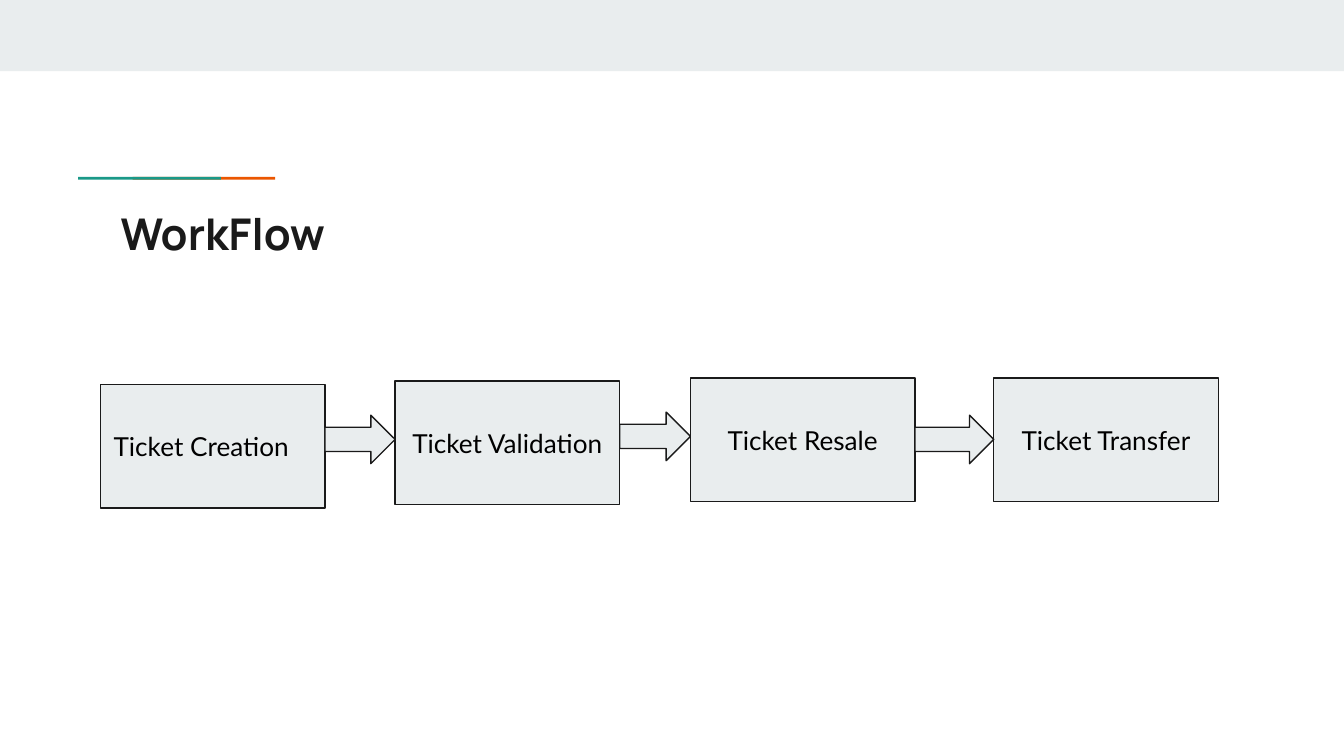
from pptx import Presentation
from pptx import util as u
from pptx.dml.color import RGBColor
from pptx.enum import shapes, text

PALE = RGBColor(0xE9, 0xED, 0xEE)
ORANGE = RGBColor(0xEB, 0x56, 0x00)
TEAL = RGBColor(0x1A, 0x99, 0x88)
INK = RGBColor(0x1A, 0x1A, 0x1A)
BLACK = RGBColor(0, 0, 0)

RECT = shapes.MSO_SHAPE.RECTANGLE
ARROW = shapes.MSO_SHAPE.RIGHT_ARROW
LEFT, CENTER = text.PP_ALIGN.LEFT, text.PP_ALIGN.CENTER
TOP, MIDDLE = text.MSO_ANCHOR.TOP, text.MSO_ANCHOR.MIDDLE

TITLE_FONT = {"name": "Manrope", "size": u.Pt(23.4), "bold": True}
STEP_FONT = {"name": "Lato", "size": u.Pt(14)}

STEP_W, STEP_H, ARROW_H = 120.3, 66.2, 26
STEPS = [
    ("Ticket Creation", 53.8, 205.9, LEFT),
    ("Ticket Validation", 211.7, 204.2, CENTER),
    ("Ticket Resale", 369.9, 202.5, CENTER),
    ("Ticket Transfer", 532.4, 202.5, CENTER),
]
ARROW_TOPS = [222.4, 220.8, 222.4]


def add_shape(s, kind, box, fill, line=None):
    sp = s.shapes.add_shape(kind, *map(u.Pt, box))
    sp.shadow.inherit = False
    sp.fill.solid()
    sp.fill.fore_color.rgb = fill
    if line is None:
        sp.line.fill.background()
    else:
        sp.line.color.rgb = line
        sp.line.width = u.Pt(0.75)
    return sp


def set_text(sp, words, font, color, anchor, align=LEFT):
    tf = sp.text_frame
    frame = {"word_wrap": True, "vertical_anchor": anchor}
    for side in ("left", "top", "right", "bottom"):
        frame["margin_" + side] = u.Pt(7.2)
    for name, value in frame.items():
        setattr(tf, name, value)
    p = tf.paragraphs[0]
    p.alignment = align
    r = p.add_run()
    r.text = words
    for name, value in font.items():
        setattr(r.font, name, value)
    r.font.color.rgb = color


def add_title(s, words):
    sp = s.shapes.add_textbox(*map(u.Pt, (57.6, 103.7, 605.5, 42.5)))
    set_text(sp, words, TITLE_FONT, INK, TOP)


def add_step(s, words, x, y, align):
    sp = add_shape(s, RECT, (x, y, STEP_W, STEP_H), PALE, INK)
    set_text(sp, words, STEP_FONT, BLACK, MIDDLE, align)


def add_arrow(s, x, y, width):
    add_shape(s, ARROW, (x, y, width, ARROW_H), PALE, INK)


def main():
    prs = Presentation()
    prs.slide_width, prs.slide_height = u.Pt(720), u.Pt(405)
    s = prs.slides.add_slide(prs.slide_layouts[6])
    add_shape(s, RECT, (0, 0, 720, 38.2), PALE)
    for x, color in ((71, ORANGE), (41.9, TEAL)):
        add_shape(s, RECT, (x, 94.7, 76.4, 1.5), color)
    add_title(s, "WorkFlow")
    for step in STEPS:
        add_step(s, *step)
    for step, following, y in zip(STEPS, STEPS[1:], ARROW_TOPS):
        x = step[1] + STEP_W
        add_arrow(s, x, y, following[1] - x)
    prs.save("out.pptx")


if __name__ == "__main__":
    main()
